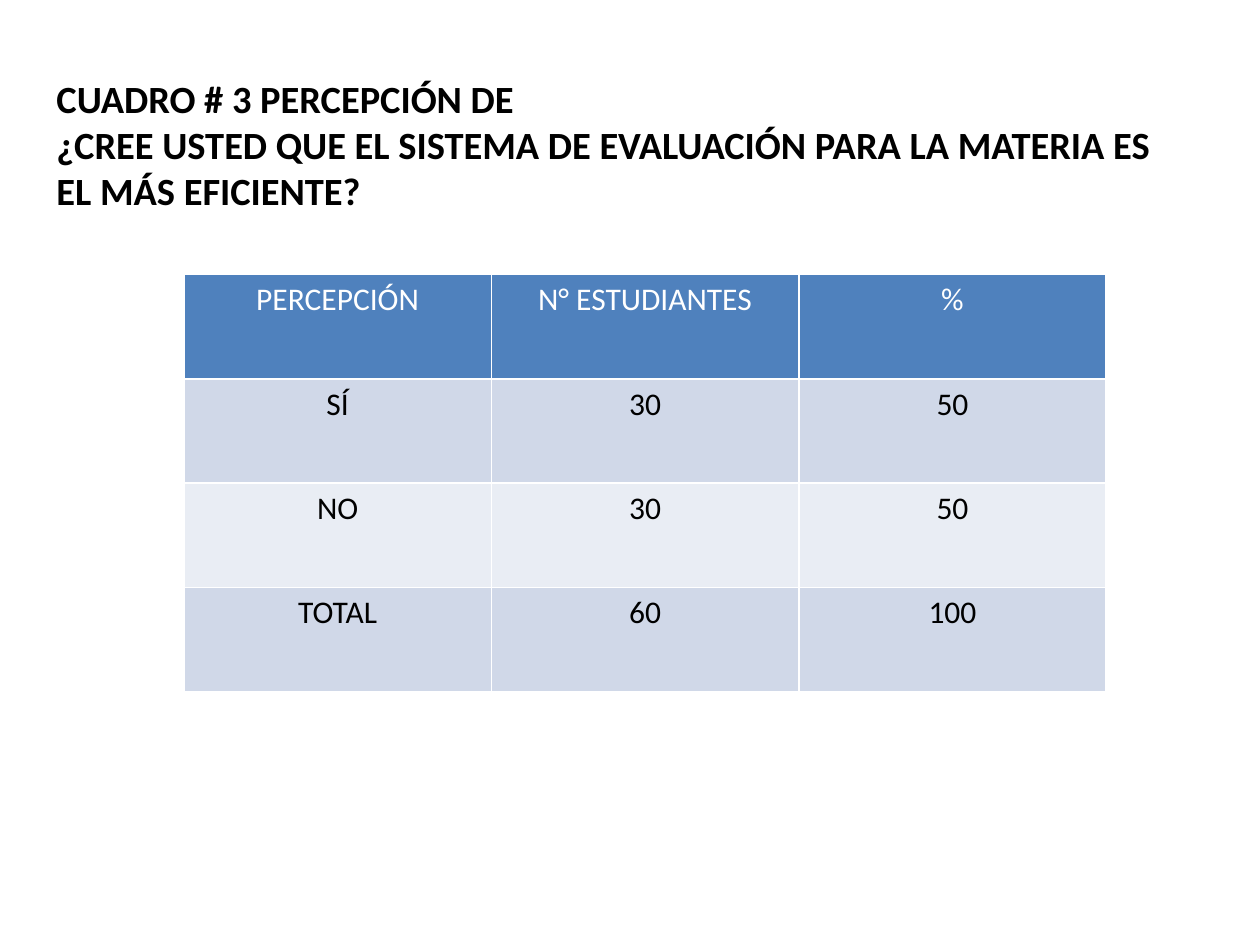
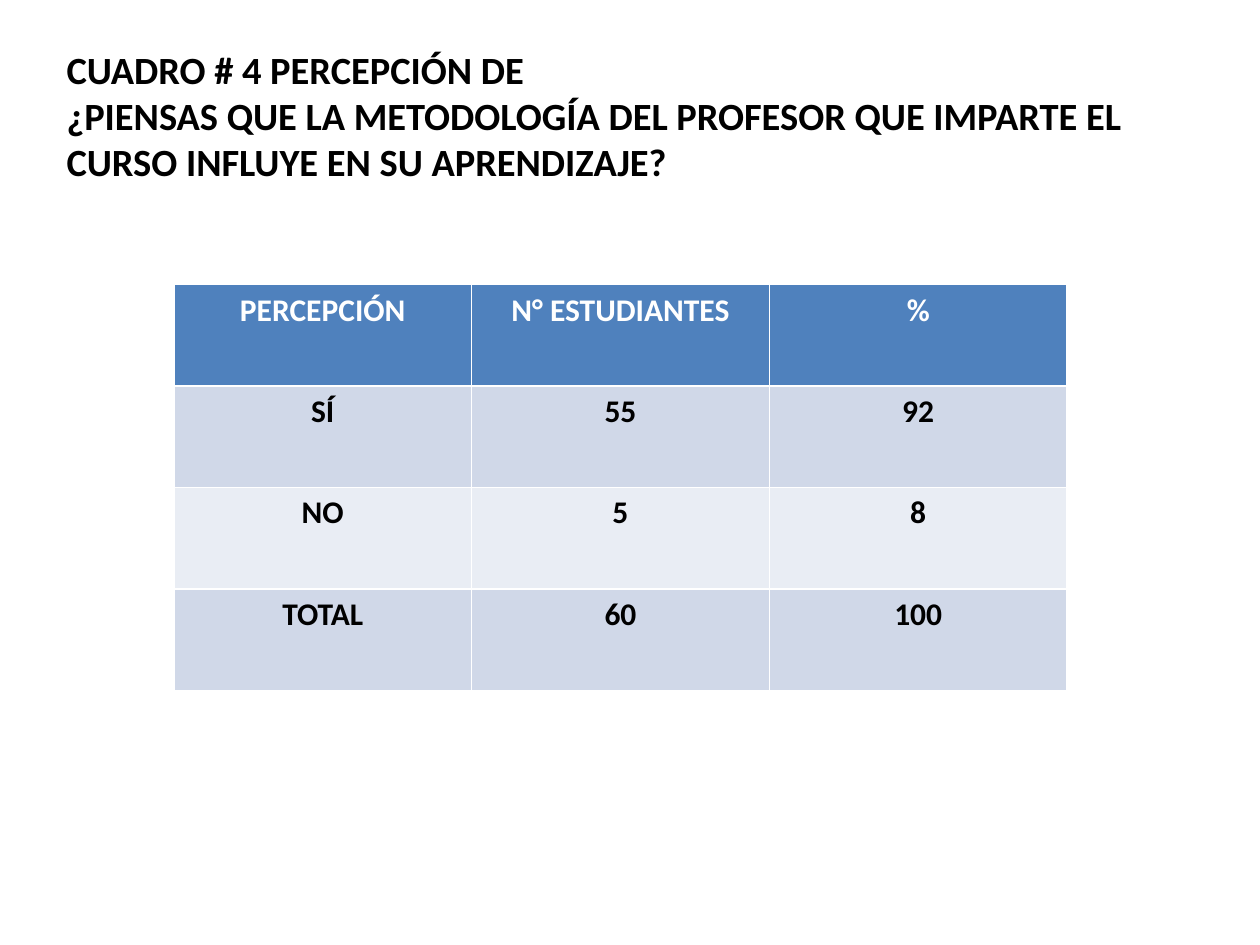
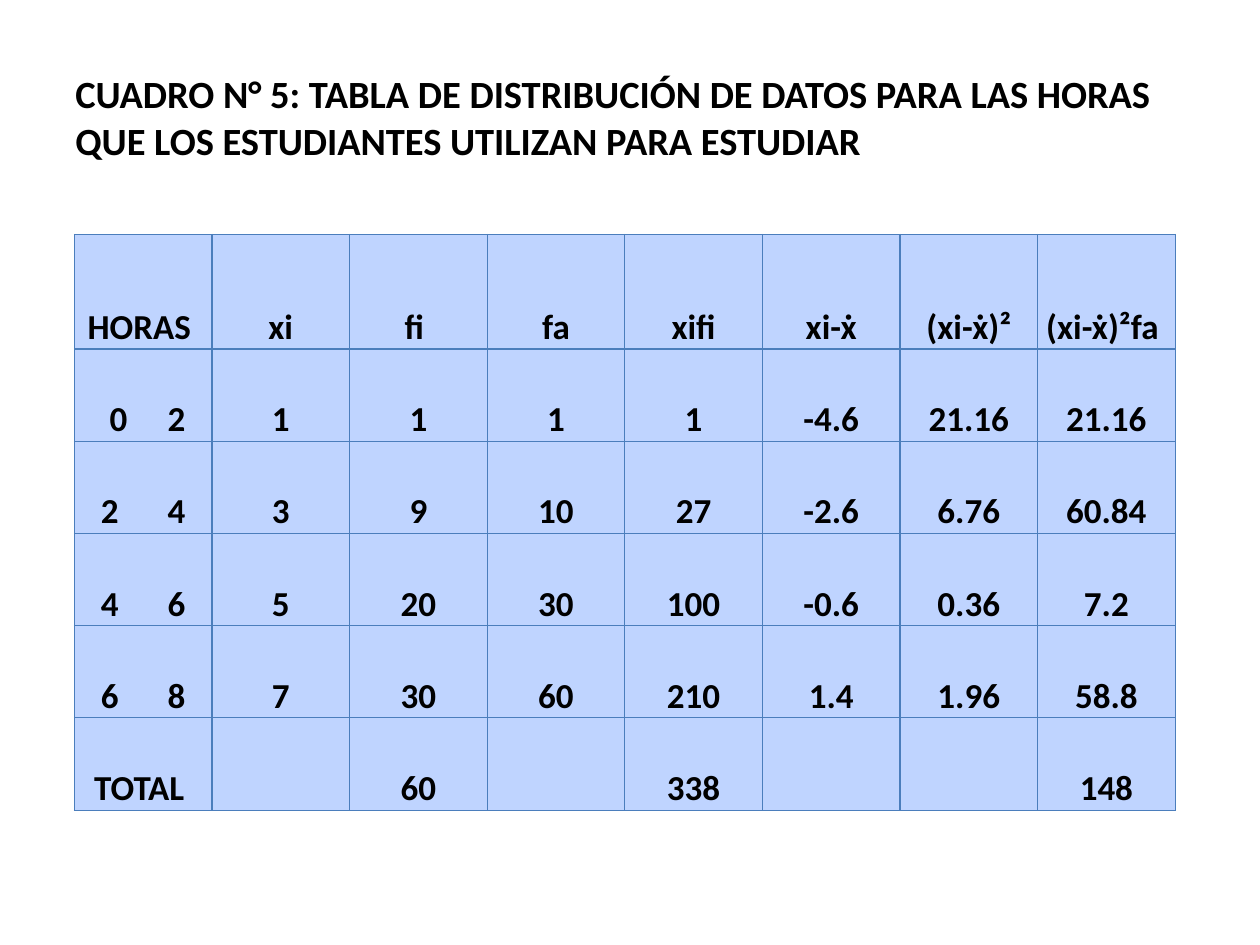
from dataclasses import dataclass

from lxml import etree
from pptx import Presentation
from pptx.dml.color import RGBColor
from pptx.enum.text import MSO_ANCHOR, PP_ALIGN
from pptx.oxml.ns import qn
from pptx.util import Pt

PX = 9144  # EMU per px, 100 px to the inch
FONT = "Calibri"
COLORS = {
    "ink": "000000",
    "white": "FFFFFF",
    "header": "4F81BD",
    "band_dark": "D0D8E8",
    "band_light": "E9EDF4",
    "grid_fill": "BFD4FF",
    "grid_line": "4B7EBC",
}
LEFT, CENTER = PP_ALIGN.LEFT, PP_ALIGN.CENTER
TOP, MIDDLE, BOTTOM = MSO_ANCHOR.TOP, MSO_ANCHOR.MIDDLE, MSO_ANCHOR.BOTTOM
TITLE_W, TITLE_H = 900, 125
RANGE_STOPS = (21, 74)  # where the two limits of a range start
FIRST_RANGE_STOPS = (28, 74)


@dataclass(frozen=True)
class TableStyle:
    header_fill: str
    header_ink: str
    band_fills: tuple[str, str]
    line: str
    line_pt: float
    size: int
    bold: bool
    anchor: MSO_ANCHOR = TOP
    flush: bool = False  # cells without inner margins


@dataclass(frozen=True)
class TableSlide:
    title: str
    title_at: tuple[int, int]
    table_box: tuple[int, int, int, int]
    rows: list[list[str]]
    style: TableStyle
    header_h: int = 0  # 0 gives every row the same height


def perception(bold: bool) -> TableStyle:
    return TableStyle("header", "white", ("band_dark", "band_light"),
                      "white", 1, 18, bold)


DISTRIBUTION = TableStyle("grid_fill", "ink", ("grid_fill", "grid_fill"),
                          "grid_line", 0.75, 20, True, BOTTOM, True)
PERCEPTION_HEAD = ["PERCEPCIÓN", "N° ESTUDIANTES", "%"]

SLIDES = [
    TableSlide(
        "CUADRO # 3 PERCEPCIÓN DE \v¿CREE USTED QUE EL SISTEMA DE EVALUACIÓN "
        "PARA LA MATERIA ES EL MÁS EFICIENTE?",
        (35, 52), (146, 218, 732, 331),
        [PERCEPTION_HEAD,
         ["SÍ", "30", "50"],
         ["NO", "30", "50"],
         ["TOTAL", "60", "100"]],
        perception(bold=False)),
    TableSlide(
        "CUADRO # 4 PERCEPCIÓN DE \v¿PIENSAS QUE LA METODOLOGÍA DEL PROFESOR "
        "QUE IMPARTE EL CURSO INFLUYE EN SU APRENDIZAJE?",
        (43, 29), (138, 226, 709, 322),
        [PERCEPTION_HEAD,
         ["SÍ", "55", "92"],
         ["NO", "5", "8"],
         ["TOTAL", "60", "100"]],
        perception(bold=True)),
    TableSlide(
        "CUADRO N° 5: TABLA DE DISTRIBUCIÓN DE DATOS PARA LAS HORAS "
        "QUE LOS ESTUDIANTES UTILIZAN PARA ESTUDIAR",
        (50, 30), (59, 186, 874, 457),
        [["HORAS ", "xi", "fi ", "fa", "xifi", "xi-ẋ", "(xi-ẋ)²", "(xi-ẋ)²fa "],
         ["\t0\t2", "1", "1", "1", "1", "-4.6", "21.16", "21.16"],
         ["\t2\t4", "3", "9", "10", "27", "-2.6", "6.76", "60.84"],
         ["\t4\t6", "5", "20", "30", "100", "-0.6", "0.36", "7.2"],
         ["\t6\t8", "7", "30", "60", "210", "1.4", "1.96", "58.8"],
         ["TOTAL ", "", "60", "", "338", "", "", "148"]],
        DISTRIBUTION, header_h=91),
]


def rgb(name: str) -> RGBColor:
    return RGBColor.from_string(COLORS[name])


def write(tf, text: str, *, size: int, color: str = "ink", bold: bool = False,
          align: PP_ALIGN = LEFT) -> None:
    """Fill the first paragraph; a vertical tab breaks the line."""
    p = tf.paragraphs[0]
    p.text = text
    p.alignment = align
    for font in [p.font] + [r.font for r in p.runs]:
        font.name, font.size, font.bold = FONT, Pt(size), bold
        font.color.rgb = rgb(color)


def set_tab_stops(p, stops: tuple[int, ...]) -> None:
    tabs = etree.Element(qn("a:tabLst"))
    for stop in stops:
        etree.SubElement(tabs, qn("a:tab"), pos=str(stop * PX), algn="l")
    pPr = p._p.get_or_add_pPr()
    pPr.insert(0, tabs)


def set_borders(cell, color: str, width: float) -> None:
    tcPr = cell._tc.get_or_add_tcPr()
    for side in ("lnL", "lnR", "lnT", "lnB"):
        ln = etree.SubElement(tcPr, qn(f"a:{side}"), w=str(Pt(width)))
        fill = etree.SubElement(ln, qn("a:solidFill"))
        etree.SubElement(fill, qn("a:srgbClr"), val=COLORS[color])


def add_title(s, text: str, at: tuple[int, int]) -> None:
    x, y = at
    tf = s.shapes.add_textbox(x * PX, y * PX, TITLE_W * PX, TITLE_H * PX).text_frame
    tf.word_wrap = True
    tf.vertical_anchor = MIDDLE
    write(tf, text, size=22, bold=True)


def format_cell(cell, text: str, row: int, style: TableStyle) -> None:
    is_header = row == 0
    set_borders(cell, style.line, style.line_pt)
    cell.fill.solid()
    cell.fill.fore_color.rgb = rgb(
        style.header_fill if is_header else style.band_fills[(row - 1) % 2])
    cell.vertical_anchor = style.anchor
    if style.flush:
        cell.margin_left = cell.margin_right = 0
        cell.margin_top = cell.margin_bottom = 0
    is_range = "\t" in text
    write(cell.text_frame, text, size=style.size, bold=style.bold,
          color=style.header_ink if is_header else "ink",
          align=LEFT if is_range else CENTER)
    if is_range:
        set_tab_stops(cell.text_frame.paragraphs[0],
                      FIRST_RANGE_STOPS if row == 1 else RANGE_STOPS)


def add_data_table(s, item: TableSlide) -> None:
    x, y, w, h = (v * PX for v in item.table_box)
    n_rows, n_cols = len(item.rows), len(item.rows[0])
    table = s.shapes.add_table(n_rows, n_cols, x, y, w, h).table
    table.horz_banding = False

    # Equal columns; the header may be taller than the equal body rows
    for col in table.columns:
        col.width = w // n_cols
    header_h = item.header_h * PX or h // n_rows
    for i, row in enumerate(table.rows):
        row.height = (h - header_h) // (n_rows - 1) if i else header_h

    for i, values in enumerate(item.rows):
        for j, text in enumerate(values):
            format_cell(table.cell(i, j), text, i, item.style)


def main() -> None:
    prs = Presentation()
    prs.slide_width, prs.slide_height = 1000 * PX, 750 * PX
    blank = prs.slide_layouts[6]
    for item in SLIDES:
        s = prs.slides.add_slide(blank)
        add_title(s, item.title, item.title_at)
        add_data_table(s, item)
    prs.save("out.pptx")


if __name__ == "__main__":
    main()
